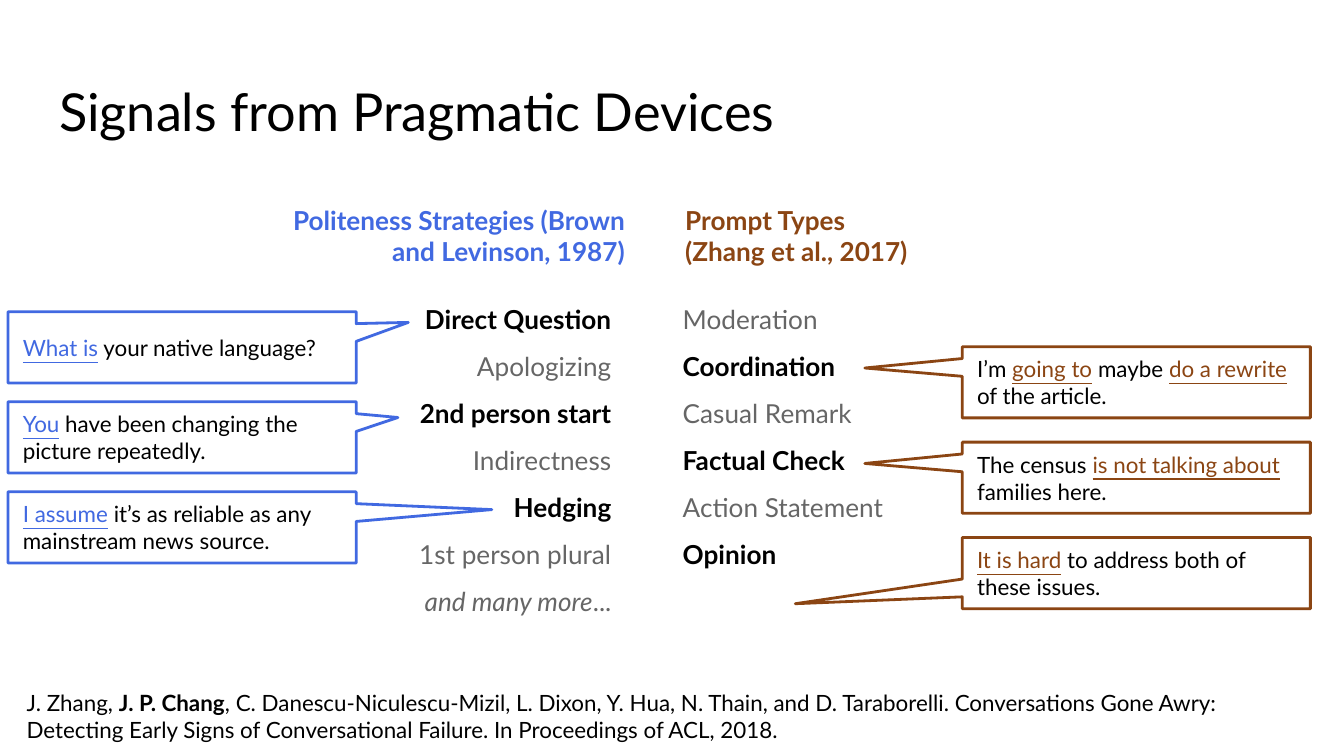
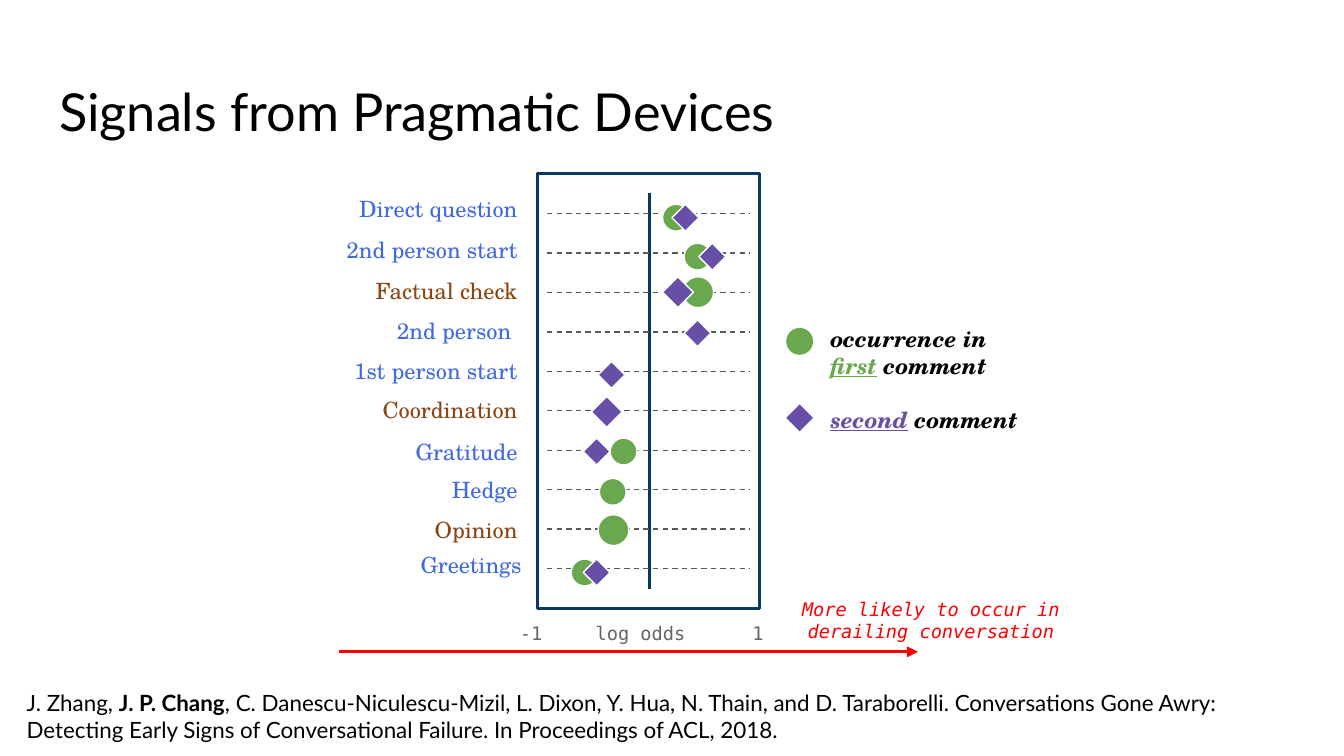
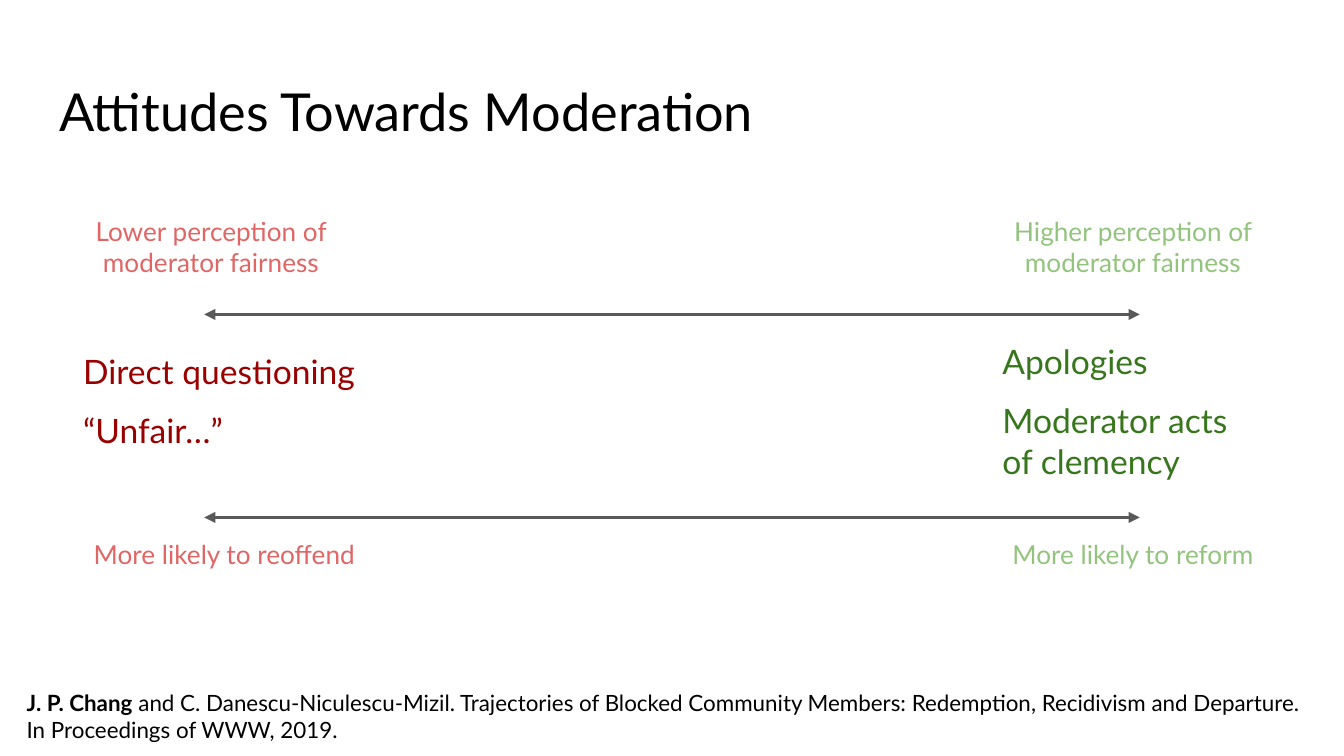
import dataclasses

import lxml.etree
import pptx
import pptx.dml.color
import pptx.enum.dml
import pptx.enum.shapes
import pptx.enum.text
import pptx.oxml.ns
import pptx.util

Inches = pptx.util.Inches
Align = pptx.enum.text.PP_ALIGN
Anchor = pptx.enum.text.MSO_ANCHOR
Shape = pptx.enum.shapes.MSO_SHAPE


@dataclasses.dataclass(frozen=True)
class Theme:
    """Colours, fonts and type sizes shared by the slides."""

    ink: str = "000000"
    paper: str = "FFFFFF"
    muted: str = "666666"
    rule: str = "595959"
    frame: str = "073763"
    politeness: str = "4169E1"
    prompt: str = "8B4513"
    first: str = "6AA84F"
    second: str = "674EA7"
    alert: str = "FF0000"
    bad: str = "990000"
    bad_soft: str = "E06666"
    good: str = "38761D"
    good_soft: str = "93C47D"
    body_font: str = "Lato"
    plot_font: str = "TeX Gyre Schola"
    axis_font: str = "DejaVu Sans Mono"
    title_size: int = 28
    point_size: int = 18
    list_size: int = 14
    small_size: int = 12
    axis_size: int = 10


THEME = Theme()

SIGNALS_TITLE = "Signals from Pragmatic Devices"
AWRY_CITATION = [
    [
        "J. Zhang, ",
        ("J. P. Chang", {"bold": True}),
        ", C. Danescu-Niculescu-Mizil, L. Dixon, Y. Hua, N. Thain, and D. Taraborelli. "
        "Conversations Gone Awry:",
    ],
    "Detecting Early Signs of Conversational Failure. In Proceedings of ACL, 2018.",
]
BLOCKED_CITATION = [
    [
        ("J. P. Chang", {"bold": True}),
        " and C. Danescu-Niculescu-Mizil. Trajectories of Blocked Community Members: "
        "Redemption, Recidivism and Departure. In Proceedings of WWW, 2019.",
    ]
]

# label, colour, label left, label top, marker top, first-comment left, second-comment left
SIGNAL_ROWS = [
    ("Direct question", THEME.politeness, 1.7, 1.37, 1.52, 4.93, 5.0),
    ("2nd person start", THEME.politeness, 1.7, 1.68, 1.81, 5.09, 5.2),
    ("Factual check", THEME.prompt, 1.7, 1.98, 2.06, 5.08, 4.93),
    ("2nd person ", THEME.politeness, 1.7, 2.28, 2.38, None, 5.09),
    ("1st person start", THEME.politeness, 1.7, 2.58, 2.69, None, 4.45),
    ("Coordination", THEME.prompt, 1.7, 2.87, 2.95, None, 4.4),
    ("Gratitude", THEME.politeness, 1.7, 3.18, 3.26, 4.54, 4.34),
    ("Hedge", THEME.politeness, 1.7, 3.46, 3.56, 4.46, None),
    ("Opinion", THEME.prompt, 1.7, 3.76, 3.83, 4.45, None),
    ("Greetings", THEME.politeness, 1.73, 4.02, 4.16, 4.25, 4.34),
]


def rgb(color):
    """Return a colour object for a hex string."""
    return pptx.dml.color.RGBColor.from_string(color)


def write(frame, text, *, size=THEME.list_size, font=THEME.body_font, color=THEME.ink,
          bold=False, italic=False, align=Align.LEFT, spacing=1.0, before=0,
          inset=(0.1, 0.1), anchor=Anchor.TOP):
    """Fill a text frame with paragraphs, each a string or a list of spans."""
    frame.word_wrap = True
    frame.auto_size = pptx.enum.text.MSO_AUTO_SIZE.NONE
    frame.vertical_anchor = anchor
    frame.margin_left = frame.margin_right = Inches(inset[0])
    frame.margin_top = frame.margin_bottom = Inches(inset[1])
    paragraphs = [text] if isinstance(text, str) else text
    for index, spans in enumerate(paragraphs):
        para = frame.add_paragraph() if index else frame.paragraphs[0]
        para.alignment = align
        para.line_spacing = spacing
        para.space_before = pptx.util.Pt(before if index else 0)
        for part in [spans] if isinstance(spans, str) else spans:
            words, changes = (part, {}) if isinstance(part, str) else part
            span = para.add_run()
            span.text = words
            span.font.name = font
            span.font.size = pptx.util.Pt(size)
            span.font.bold = changes.get("bold", bold)
            span.font.italic = changes.get("italic", italic)
            span.font.underline = changes.get("underline", False)
            span.font.color.rgb = rgb(changes.get("color", color))


def marked(text, color):
    """Return an underlined, coloured span."""
    return text, {"color": color, "underline": True}


def add_text(page, left, top, width, height, text, **style):
    """Add a text box."""
    box = page.shapes.add_textbox(Inches(left), Inches(top), Inches(width), Inches(height))
    write(box.text_frame, text, **style)
    return box


def add_outline(shapes, kind, left, top, width, height, fill=None, line=None, weight=1.5):
    """Add a preset shape with an optional fill and line."""
    shape = shapes.add_shape(kind, Inches(left), Inches(top), Inches(width), Inches(height))
    shape.shadow.inherit = False
    if fill:
        shape.fill.solid()
        shape.fill.fore_color.rgb = rgb(fill)
    else:
        shape.fill.background()
    if line:
        shape.line.color.rgb = rgb(line)
        shape.line.width = pptx.util.Pt(weight)
    else:
        shape.line.fill.background()
    return shape


def add_line(shapes, start, end, color, weight=1.5, dashed=False, arrows=()):
    """Add a straight line, with arrowheads at the named ends."""
    line = shapes.add_connector(
        pptx.enum.shapes.MSO_CONNECTOR.STRAIGHT, *(Inches(value) for value in (*start, *end))
    )
    line.line.color.rgb = rgb(color)
    line.line.width = pptx.util.Pt(weight)
    if dashed:
        line.line.dash_style = pptx.enum.dml.MSO_LINE.DASH
    for end_name in arrows:
        lxml.etree.SubElement(
            line.get_or_add_ln(), pptx.oxml.ns.qn(f"a:{end_name}"), type="triangle"
        )
    lxml.etree.SubElement(line.element.spPr, pptx.oxml.ns.qn("a:effectLst"))


def add_page(deck, title, citation):
    """Add a slide with its title and its citation footer."""
    page = deck.slides.add_slide(deck.slide_layouts[5])
    heading = page.shapes.title
    heading.left, heading.top = Inches(0.34), Inches(0.49)
    heading.width, heading.height = Inches(9.32), Inches(0.63)
    write(heading.text_frame, title, size=THEME.title_size)
    add_text(page, 0.1, 5.03, 9.76, 0.49, citation, size=THEME.small_size)
    return page


def add_device_list(page, left, names, strong, align):
    """Add a list of devices, with the strong ones in bold black."""
    text = [
        [(name, {"bold": True, "color": THEME.ink})] if name in strong else name
        for name in names
    ]
    add_text(page, left, 2.06, 1.73, 2.53, text, color=THEME.muted, align=align,
             spacing=1.5, inset=(0.08, 0.08))


def add_callout(page, left, top, tip, color, spans):
    """Add an example in a callout whose tip points at a device."""
    callout = add_outline(page.shapes, Shape.RECTANGULAR_CALLOUT, left, top, 2.59, 0.53,
                          THEME.paper, color)
    callout.adjustments[0], callout.adjustments[1] = tip
    write(callout.text_frame, [spans], size=THEME.small_size, inset=(0.11, 0.06),
          anchor=Anchor.MIDDLE)


def build_devices(deck):
    """Build the slide that lists devices with examples."""
    page = add_page(deck, SIGNALS_TITLE, AWRY_CITATION)
    blue, brown = THEME.politeness, THEME.prompt
    add_text(page, 1.94, 1.42, 2.81, 0.52, "Politeness Strategies (Brown and Levinson, 1987)",
             color=blue, bold=True, align=Align.RIGHT)
    add_text(page, 5, 1.42, 2.81, 0.52, ["Prompt Types", "(Zhang et al., 2017)"],
             color=brown, bold=True)
    add_device_list(
        page, 2.9,
        ["Direct Question", "Apologizing", "2nd person start", "Indirectness", "Hedging",
         "1st person plural", [("and many more", {"italic": True}), "..."]],
        ["Direct Question", "2nd person start", "Hedging"], Align.RIGHT,
    )
    add_device_list(
        page, 5,
        ["Moderation", "Coordination", "Casual Remark", "Factual Check",
         "Action Statement", "Opinion"],
        ["Coordination", "Factual Check", "Opinion"], Align.LEFT,
    )
    politeness_examples = [
        ((0.65, -0.35), [marked("What is", blue), " your native language?"]),
        ((0.62, -0.28), [marked("You", blue), " have been changing the picture repeatedly."]),
        ((0.89, -0.25), [marked("I assume", blue),
                         " it’s as reliable as any mainstream news source."]),
    ]
    prompt_examples = [
        ((-0.78, -0.2), ["I’m ", marked("going to", brown), " maybe ",
                         marked("do a rewrite", brown), " of the article."]),
        ((-0.78, -0.2), ["The census ", marked("is not talking about", brown),
                         " families here."]),
        ((-0.98, 0.43), [marked("It is hard", brown), " to address both of these issues."]),
    ]
    for left, top, step, color, examples in (
        (0.06, 2.32, 0.67, blue, politeness_examples),
        (7.16, 2.58, 0.71, brown, prompt_examples),
    ):
        for index, (tip, spans) in enumerate(examples):
            add_callout(page, left, top + index * step, tip, color, spans)


def add_legend(page):
    """Add the key to the two markers."""
    add_outline(page.shapes, Shape.DIAMOND, 5.85, 3.01, 0.2, 0.2, THEME.second)
    add_outline(page.shapes, Shape.OVAL, 5.85, 2.44, 0.2, 0.2, THEME.first)
    legend = add_text(
        page, 6.08, 2.32, 2.08, 1.48,
        ["occurrence in", [marked("first", THEME.first), " comment"],
         [marked("second", THEME.second), " comment"]],
        size=THEME.small_size, font=THEME.plot_font, bold=True, italic=True,
    )
    legend.text_frame.paragraphs[-1].space_before = pptx.util.Pt(14.5)


def build_log_odds(deck):
    """Build the slide that plots the log odds of each signal."""
    page = add_page(deck, SIGNALS_TITLE, AWRY_CITATION)
    grid = page.shapes.add_group_shape().shapes
    add_outline(grid, Shape.RECTANGLE, 4, 1.29, 1.65, 3.24, line=THEME.frame)
    add_line(grid, (4.83, 1.44), (4.83, 4.38), THEME.frame)
    step = (4.23 - 1.59) / (len(SIGNAL_ROWS) - 1)
    for index in range(len(SIGNAL_ROWS)):
        height = 1.59 + index * step
        add_line(grid, (4.07, height), (5.58, height), THEME.rule, 0.75, dashed=True)

    add_line(page.shapes, (2.52, 4.85), (6.83, 4.85), THEME.alert, arrows=["tailEnd"])
    axis = {"size": THEME.axis_size, "font": THEME.axis_font}
    for left, width, text, align in (
        (3.77, 0.44, "-1", Align.LEFT),
        (4.29, 0.95, "log odds", Align.CENTER),
        (5.5, 0.35, "1", Align.LEFT),
    ):
        add_text(page, left, 4.53, width, 0.28, text, color=THEME.muted, align=align, **axis)
    add_text(page, 5.65, 4.31, 2.55, 0.61, "More likely to occur in derailing conversation",
             color=THEME.alert, italic=True, align=Align.CENTER, anchor=Anchor.MIDDLE, **axis)

    for label, color, label_left, label_top, marker_top, first, second in SIGNAL_ROWS:
        side = 0.23 if color == THEME.prompt else 0.2
        for kind, left, fill in ((Shape.OVAL, first, THEME.first),
                                 (Shape.DIAMOND, second, THEME.second)):
            if left is not None:
                add_outline(page.shapes, kind, left, marker_top, side, side, fill,
                            THEME.paper, 0.75)
        add_text(page, label_left, label_top, 2.25, 0.36, label, size=THEME.small_size,
                 font=THEME.plot_font, color=color, align=Align.RIGHT, anchor=Anchor.MIDDLE)
    add_legend(page)


def build_attitudes(deck):
    """Build the slide that contrasts attitudes towards moderation."""
    page = add_page(deck, "Attitudes Towards Moderation", BLOCKED_CITATION)
    for height in (2.34, 3.85):
        add_line(page.shapes, (1.52, height), (8.48, height), THEME.rule,
                 arrows=["headEnd", "tailEnd"])
    for left, top, text, color in (
        (0.28, 1.5, "Lower perception of moderator fairness", THEME.bad_soft),
        (7.14, 1.5, "Higher perception of moderator fairness", THEME.good_soft),
        (0.38, 3.91, "More likely to reoffend", THEME.bad_soft),
        (7.14, 3.91, "More likely to reform", THEME.good_soft),
    ):
        add_text(page, left, top, 2.58, 0.7, text, color=color, align=Align.CENTER)
    for left, top, width, text, color in (
        (0.52, 2.51, 2.3, ["Direct questioning", "“Unfair…”"], THEME.bad),
        (7.36, 2.44, 2.12, ["Apologies", "Moderator acts of clemency"], THEME.good),
    ):
        add_text(page, left, top, width, 1.17, text, size=THEME.point_size, color=color,
                 before=10)


def main():
    """Build the deck and save it."""
    deck = pptx.Presentation()
    deck.slide_width, deck.slide_height = Inches(10), Inches(10 * 9 / 16)
    build_devices(deck)
    build_log_odds(deck)
    build_attitudes(deck)
    deck.save("out.pptx")


if __name__ == "__main__":
    main()
